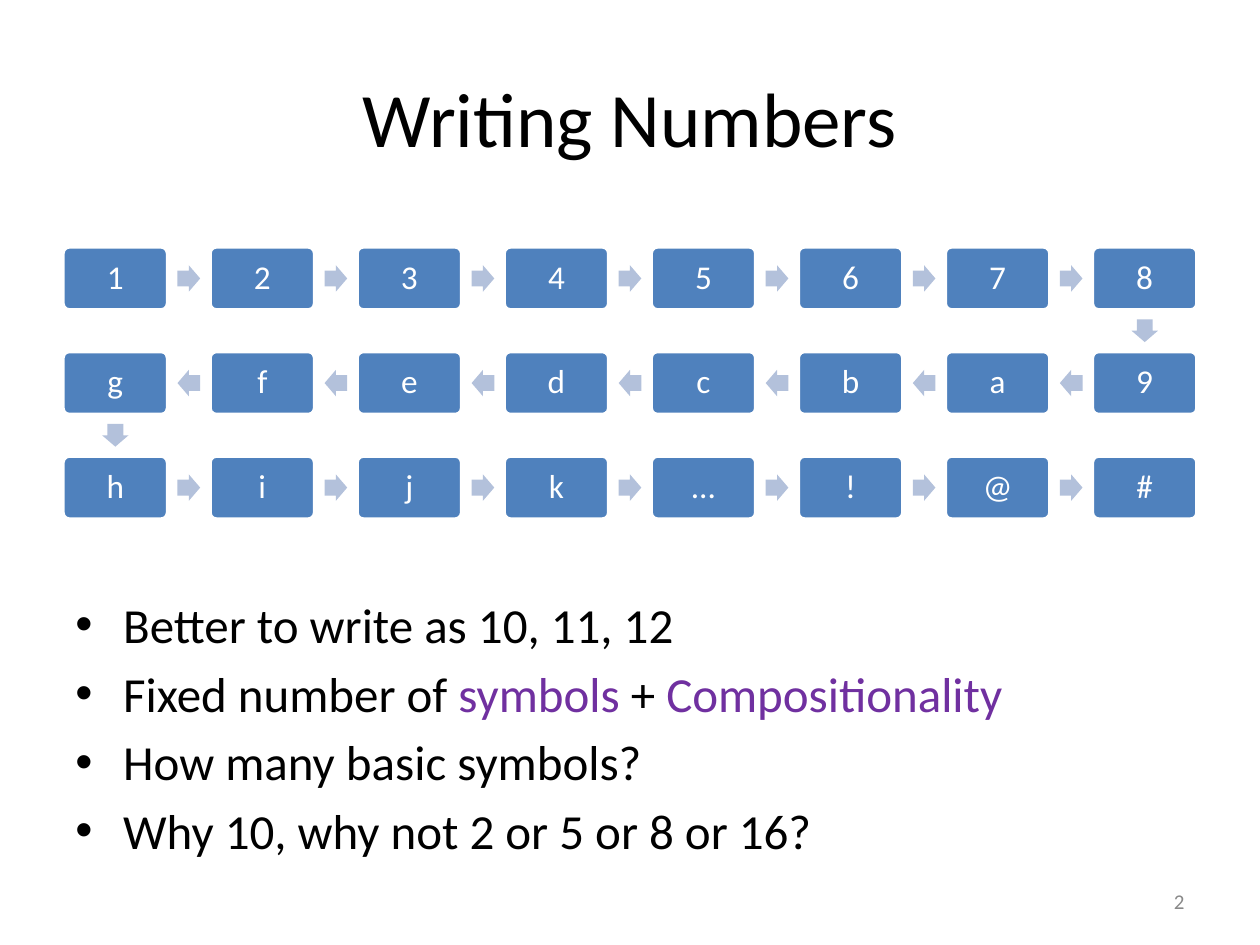
from itertools import pairwise
from lxml.etree import SubElement
from pptx import Presentation
from pptx.dml.color import RGBColor
from pptx.enum.shapes import MSO_SHAPE
from pptx.enum.text import MSO_ANCHOR, PP_ALIGN
from pptx.oxml.ns import qn
from pptx.util import Inches, Pt

BLACK, WHITE, BLUE, PALE_BLUE = "000000", "FFFFFF", "4F81BD", "B3C1DB"
PURPLE, GREY = "7030A0", "898989"
SYMBOL_ROWS = [
    ["1", "2", "3", "4", "5", "6", "7", "8"],
    ["9", "a", "b", "c", "d", "e", "f", "g"],
    ["h", "i", "j", "k", "...", "!", "@", "#"],
]
POINTS = [
    [("Better to write as 10, 11, 12", BLACK)],
    [("Fixed number of ", BLACK), ("symbols", PURPLE),
     (" + ", BLACK), ("Compositionality", PURPLE)],
    [("How many basic symbols?", BLACK)],
    [("Why 10, why not 2 or 5 or 8 or 16?", BLACK)],
]


def rgb(value):
    return RGBColor.from_string(value)


def style_run(run, size, color):
    run.font.name = "Calibri"
    run.font.size = Pt(size)
    run.font.color.rgb = rgb(color)


def style_line(frame, size, color, align):
    frame.word_wrap = True
    frame.vertical_anchor = MSO_ANCHOR.MIDDLE
    paragraph = frame.paragraphs[0]
    paragraph.alignment = align
    style_run(paragraph.runs[0], size, color)


def add_title(slide, left, top, width, height):
    title = slide.shapes.title
    title.left, title.top = Inches(left), Inches(top)
    title.width, title.height = Inches(width), Inches(height)
    title.text_frame.text = "Writing Numbers"
    style_line(title.text_frame, 44, BLACK, PP_ALIGN.CENTER)


def add_centred(slide, preset, center, width, height, fill):
    x, y = center
    shape = slide.shapes.add_shape(
        preset, Inches(x - width / 2), Inches(y - height / 2),
        Inches(width), Inches(height))
    shape.shadow.inherit = False
    shape.fill.solid()
    shape.fill.fore_color.rgb = rgb(fill)
    return shape


def add_symbol(slide, center, width, height, symbol):
    tile = add_centred(slide, MSO_SHAPE.ROUNDED_RECTANGLE, center, width, height, BLUE)
    tile.adjustments[0] = 0.1
    tile.line.color.rgb = rgb(WHITE)
    tile.line.width = Pt(2)
    frame = tile.text_frame
    frame.margin_left = frame.margin_right = Inches(0.08)
    frame.margin_top = frame.margin_bottom = Inches(0.08)
    frame.text = symbol
    style_line(frame, 19, WHITE, PP_ALIGN.CENTER)
    frame.paragraphs[0].line_spacing = 0.9


def add_step_arrow(slide, start, end):
    middle = ((start[0] + end[0]) / 2, (start[1] + end[1]) / 2)
    arrow = add_centred(slide, MSO_SHAPE.RIGHT_ARROW, middle, 0.18, 0.21, PALE_BLUE)
    arrow.adjustments[0], arrow.adjustments[1] = 0.6, 0.5
    arrow.line.fill.background()
    if start[0] == end[0]:
        arrow.rotation = 90
    elif start[0] > end[0]:
        arrow.rotation = 180


def add_symbol_snake(slide, left, top, width, height):
    tile_width, tile_height = 0.83, 0.5
    columns = len(SYMBOL_ROWS[0])
    column_step = (width - tile_width) / (columns - 1)
    row_step = (height - tile_height) / (len(SYMBOL_ROWS) - 1)
    centers = []
    for row, symbols in enumerate(SYMBOL_ROWS):
        for step, symbol in enumerate(symbols):
            column = columns - 1 - step if row % 2 else step
            center = (left + tile_width / 2 + column * column_step,
                      top + tile_height / 2 + row * row_step)
            add_symbol(slide, center, tile_width, tile_height, symbol)
            centers.append(center)
    for start, end in pairwise(centers):
        add_step_arrow(slide, start, end)


def add_bullet(paragraph):
    properties = paragraph._p.get_or_add_pPr()
    properties.set("marL", str(Inches(0.38)))
    properties.set("indent", str(-Inches(0.38)))
    SubElement(properties, qn("a:buFont"), typeface="Arial")
    SubElement(properties, qn("a:buChar"), char="•")


def add_points(slide, left, top, width, height):
    box = slide.shapes.add_textbox(
        Inches(left), Inches(top), Inches(width), Inches(height))
    frame = box.text_frame
    frame.word_wrap = True
    for index, pieces in enumerate(POINTS):
        point = frame.add_paragraph() if index else frame.paragraphs[0]
        point.space_before = Pt(5.6)
        add_bullet(point)
        for text, color in pieces:
            run = point.add_run()
            run.text = text
            style_run(run, 28, color)


def add_page_number(slide, left, top, width, height):
    box = slide.shapes.add_textbox(
        Inches(left), Inches(top), Inches(width), Inches(height))
    box.text_frame.text = "2"
    style_line(box.text_frame, 12, GREY, PP_ALIGN.RIGHT)


def main():
    deck = Presentation()
    deck.slide_width, deck.slide_height = Inches(10), Inches(7.5)
    slide = deck.slides.add_slide(deck.slide_layouts[5])
    add_title(slide, 0.5, 0.3, 9, 1.25)
    add_symbol_snake(slide, 0.5, 1.96, 9, 2.16)
    add_page_number(slide, 7.17, 6.95, 2.33, 0.4)
    add_points(slide, 0.5, 4.67, 9, 2.03)
    deck.save("out.pptx")


if __name__ == "__main__":
    main()
